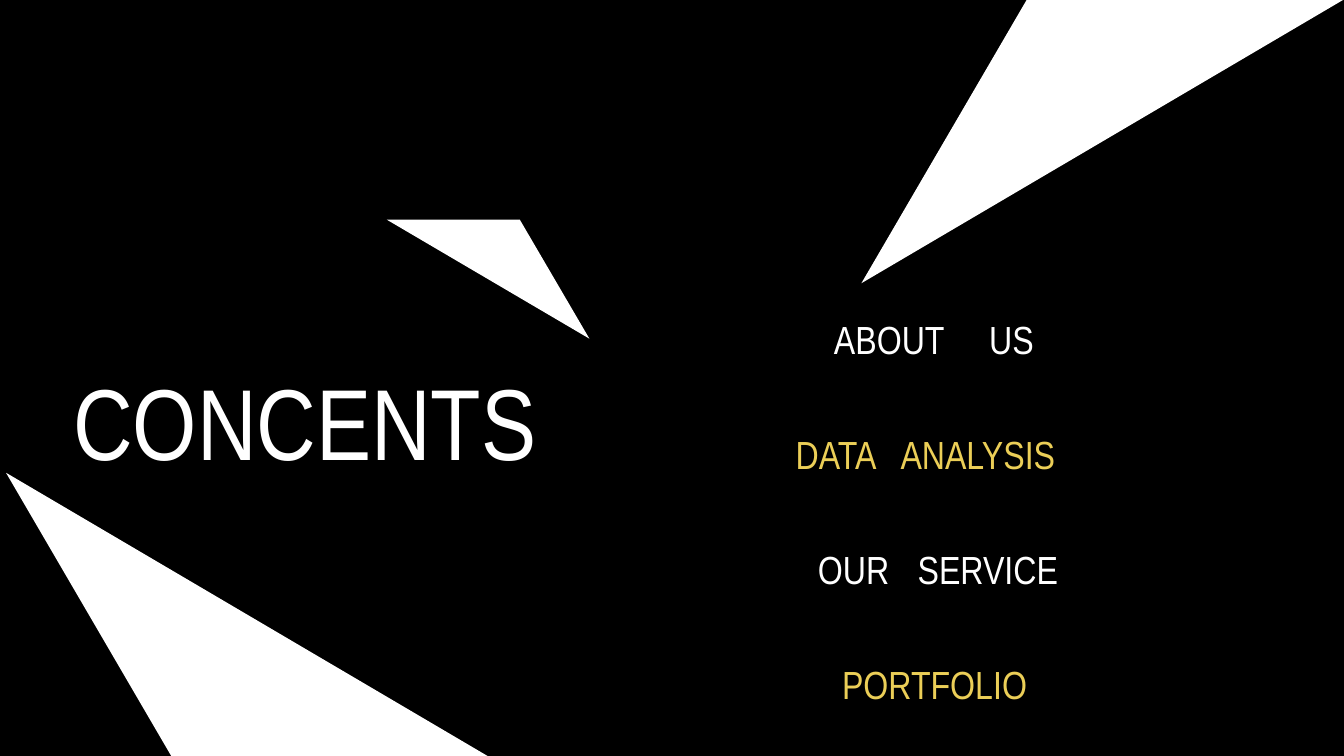
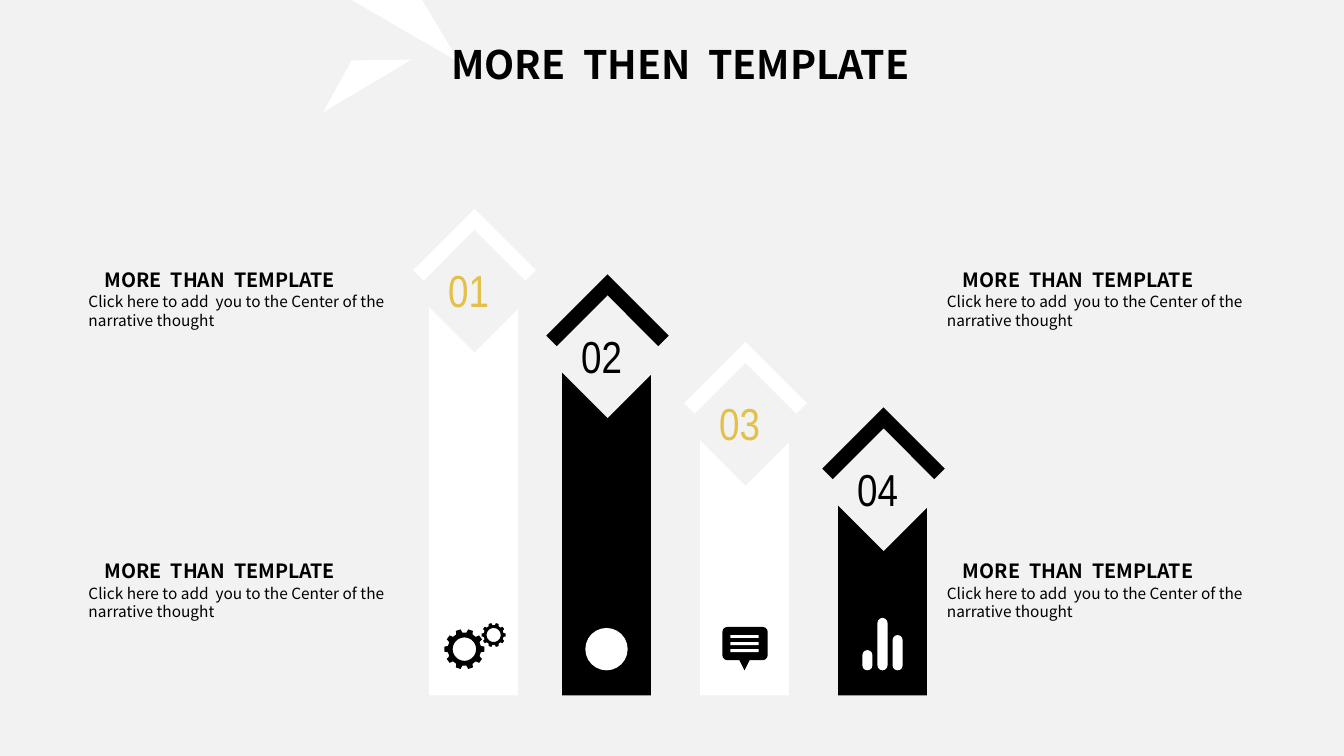
from math import cos, radians, sin

from lxml.etree import SubElement
from pptx import Presentation
from pptx.dml.color import RGBColor
from pptx.enum.shapes import MSO_SHAPE as SHAPE
from pptx.oxml.ns import qn
from pptx.util import Inches, Pt

BLACK, WHITE, PALE = "000000", "FFFFFF", "F2F2F2"
YELLOW, GOLD = "EBCE57", "E3C04A"
NARROW, SANS = "Arial Narrow", "Noto Sans CJK JP"


def rgb(color):
    return RGBColor.from_string(color)


def ring(cx, cy, polar):
    """Turn (radius, degrees) pairs into points around a centre."""
    return [(cx + r * cos(radians(a)), cy + r * sin(radians(a))) for r, a in polar]


class Deck:
    def __init__(self):
        self.file = Presentation()
        self.file.slide_width, self.file.slide_height = Inches(13.34), Inches(7.5)
        self.slide = None

    def new_slide(self, background):
        self.slide = self.file.slides.add_slide(self.file.slide_layouts[6])
        self.slide.background.fill.solid()
        self.slide.background.fill.fore_color.rgb = rgb(background)

    def paint(self, shape, color):
        shape.shadow.inherit = False
        shape.fill.solid()
        shape.fill.fore_color.rgb = rgb(color)
        shape.line.fill.background()

    def shape(self, kind, x, y, w, h, color, turn=0, corner=None):
        shape = self.slide.shapes.add_shape(
            kind, Inches(x), Inches(y), Inches(w), Inches(h))
        shape.rotation = turn
        if corner is not None:
            shape.adjustments[0] = corner
        self.paint(shape, color)

    def outline(self, color, *contours):
        """Draw closed contours as one shape; inner contours become holes."""
        builder = None
        for contour in contours:
            start, *rest = [(Inches(x), Inches(y)) for x, y in contour]
            if builder is None:
                builder = self.slide.shapes.build_freeform(*start)
            else:
                builder.move_to(*start)
            builder.add_line_segments(rest, close=True)
        self.paint(builder.convert_to_shape(), color)

    def text_frame(self, x, y, w, h):
        frame = self.slide.shapes.add_textbox(
            Inches(x), Inches(y), Inches(w), Inches(h)).text_frame
        frame.word_wrap = True
        return frame

    def fill_paragraph(self, paragraph, words, size, color, font,
                       bold=False, indent=0, tab=None):
        paragraph.text = words
        props = paragraph._p.get_or_add_pPr()
        if indent:
            props.set("indent", str(Inches(indent)))
        if tab:
            stops = SubElement(props, qn("a:tabLst"))
            SubElement(stops, qn("a:tab"), pos=str(Inches(tab)), algn="l")
        style = paragraph.font
        style.name, style.size, style.bold = font, Pt(size), bold
        style.color.rgb = rgb(color)

    def label(self, x, y, w, h, words, size, color, font=NARROW, bold=False, tab=None):
        first = self.text_frame(x, y, w, h).paragraphs[0]
        self.fill_paragraph(first, words, size, color, font, bold, tab=tab)

    def caption(self, x, y):
        frame = self.text_frame(x, y, 3.28, 1)
        heading = frame.paragraphs[0]
        self.fill_paragraph(heading, "MORE  THAN  TEMPLATE", 14, BLACK, SANS, True, indent=0.16)
        heading.space_after = Pt(0.7)
        for line in ("Click here to add  you to the Center of the", "narrative thought"):
            self.fill_paragraph(frame.add_paragraph(), line, 11, BLACK, SANS)

    def arrow_bar(self, center, top, number, color, number_color):
        self.shape(SHAPE.RECTANGLE, center - 0.45, top + 0.73, 0.88, 6.17 - top, color)
        for drop, tint in ((0, color), (0.21, PALE)):
            self.shape(SHAPE.RECTANGLE, center - 0.43, top + drop, 0.86, 0.86, tint, 45)
        self.label(center - 0.36, top + 0.31, 0.75, 0.64, number, 32, number_color)

    def gear(self, cx, cy, radius, color):
        profile = ((0.83, -11), (1, -7), (1, 7), (0.83, 11))
        teeth = [(radius * r, 36 * i + a) for i in range(10) for r, a in profile]
        hole = [(radius * 0.58, a) for a in range(0, 360, 10)]
        self.outline(color, ring(cx, cy, teeth), ring(cx, cy, hole))

    def speech_bubble(self, x, y, color, line_color):
        self.outline(color, [(x + 0.16, y + 0.31), (x + 0.28, y + 0.31), (x + 0.22, y + 0.43)])
        self.shape(SHAPE.ROUNDED_RECTANGLE, x, y, 0.45, 0.33, color, corner=0.15)
        for row in range(3):
            self.shape(SHAPE.RECTANGLE, x + 0.08, y + 0.08 + 0.07 * row, 0.28, 0.03, line_color)

    def column_icon(self, x, base, heights, color):
        for i, height in enumerate(heights):
            self.shape(SHAPE.ROUNDED_RECTANGLE, x + 0.15 * i, base - height,
                       0.1, height, color, corner=0.5)


def contents_slide(deck):
    deck.new_slide(BLACK)
    for triangle in ([(3.84, 2.18), (5.16, 2.18), (5.85, 3.36)],
                     [(4.84, 7.5), (1.7, 7.5), (0.06, 4.69)],
                     [(13.33, 0), (10.19, 0), (8.55, 2.81)]):
        deck.outline(WHITE, triangle)
    deck.label(0.63, 3.52, 5.42, 1.3, "CONCENTS", 72, WHITE)
    menu = [(8.18, "ABOUT\tUS", WHITE, 1.54), (7.8, "DATA\tANALYSIS", YELLOW, 1.04),
            (8.02, "OUR\tSERVICE", WHITE, 0.99), (8.26, "PORTFOLIO", YELLOW, None)]
    for i, (x, entry, color, tab) in enumerate(menu):
        deck.label(x, 3.08 + 1.14 * i, 3.27, 0.57, entry, 28, color, tab=tab)


def arrows_slide(deck):
    deck.new_slide(PALE)
    for triangle in ([(3.49, 0), (4.19, 0), (4.56, 0.62)],
                     [(3.21, 1.11), (3.49, 0.6), (4.09, 0.59)]):
        deck.outline(WHITE, triangle)
    deck.label(4.38, 0.35, 5, 0.64, "MORE  THEN  TEMPLATE", 28, BLACK, SANS, True)

    bars = [(4.71, 2.25, WHITE, GOLD), (6.03, 2.9, BLACK, BLACK),
            (7.4, 3.57, WHITE, GOLD), (8.77, 4.22, BLACK, BLACK)]
    for i, (center, top, color, number_color) in enumerate(bars, 1):
        deck.arrow_bar(center, top, f"{i:02}", color, number_color)

    deck.gear(4.61, 6.44, 0.2, BLACK)
    deck.gear(4.9, 6.3, 0.12, BLACK)
    deck.shape(SHAPE.OVAL, 5.81, 6.23, 0.42, 0.42, WHITE)
    deck.speech_bubble(7.17, 6.22, BLACK, WHITE)
    deck.column_icon(8.56, 6.65, (0.2, 0.52, 0.35), WHITE)

    for x in (0.78, 9.3):
        for y in (2.61, 5.5):
            deck.caption(x, y)


def main():
    deck = Deck()
    contents_slide(deck)
    arrows_slide(deck)
    deck.file.save("out.pptx")


if __name__ == "__main__":
    main()
